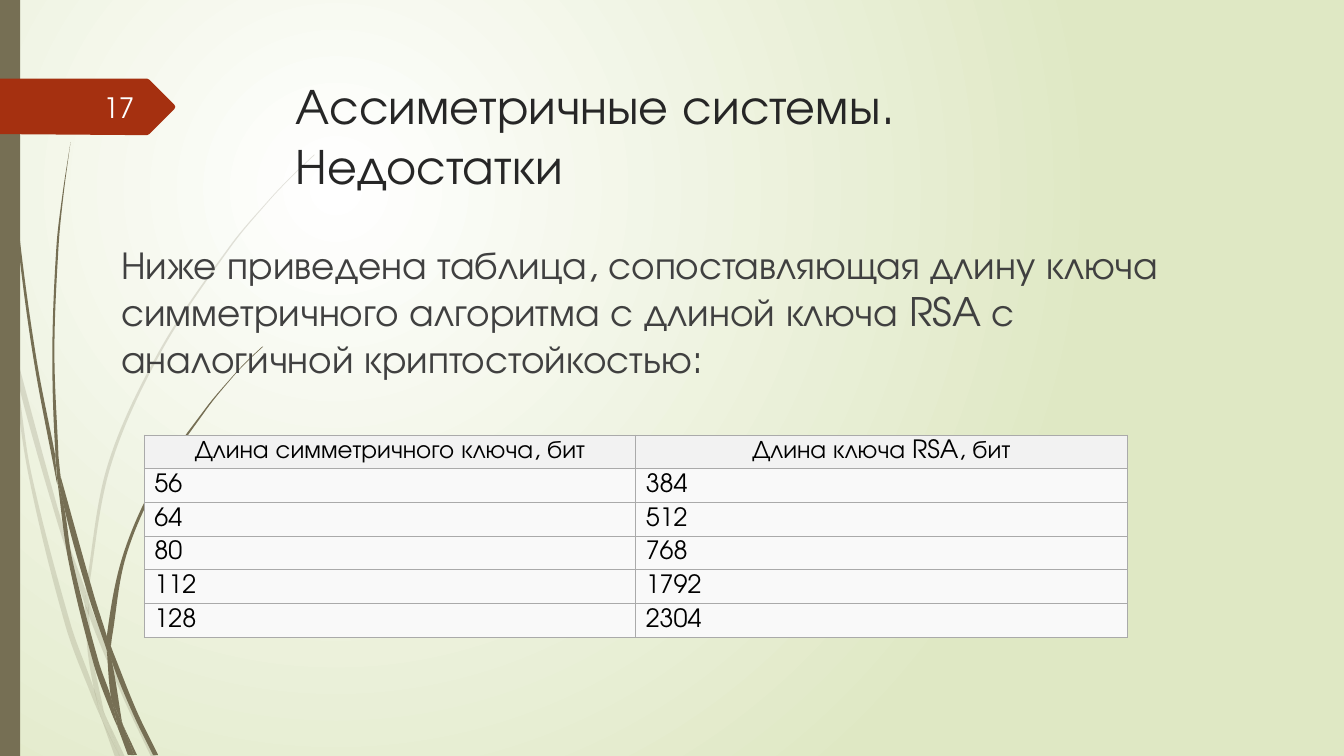
"""Builds a slide comparing symmetric and RSA key lengths."""
from copy import deepcopy
from math import dist

from lxml import etree
from pptx import Presentation
from pptx.dml.color import RGBColor
from pptx.enum.shapes import MSO_SHAPE
from pptx.enum.text import MSO_ANCHOR, PP_ALIGN
from pptx.oxml.ns import qn
from pptx.util import Pt

RECTANGLE = MSO_SHAPE.RECTANGLE
TOP, MIDDLE = MSO_ANCHOR.TOP, MSO_ANCHOR.MIDDLE
LEFT, CENTER, RIGHT = PP_ALIGN.LEFT, PP_ALIGN.CENTER, PP_ALIGN.RIGHT
FONT = "TeX Gyre Adventor"
COLOURS = {
    "white": "FFFFFF", "meadow": "DFE8C4", "stem": "766F54", "tag": "A53010",
    "title": "262626", "number": "FEFFFF", "body": "404040", "cell_text": "000000",
    "header": "F2F2F2", "row": "F9F9F9", "border": "AAAAAA",
}
KEY_LENGTHS = [
    ("Длина симметричного ключа, бит", "Длина ключа RSA, бит"),
    ("56", "384"), ("64", "512"), ("80", "768"), ("112", "1792"), ("128", "2304"),
]
TAG = [(124.6, 77.8), (106.6, 95.8), (105.1, 96.5), (97.9, 96.5), (0, 95.8),
       (0, 56.2), (105.1, 56.2), (106.6, 56.9), (124.6, 74.9), (125.2, 76.4)]
PALE_BLADES = [
    ([(7.9, 252), (6.5, 231.8), (0, 203)], [(0, 215.3), (7.2, 247.7), (7.9, 252)]),
    ([(10.1, 248.4), (12.2, 270.7), (41.8, 375.8), (60.5, 431.3)],
     [(61.2, 421.9), (44.6, 374.4), (10.1, 248.4)]),
    ([(63.4, 429.1), (63.4, 439.2), (88.6, 499.7), (108, 540.7)],
     [(111.6, 540.7), (91.4, 498.2), (66.2, 437), (63.4, 429.1)]),
    ([(85.7, 540.7), (89.3, 540.7)], [(75.6, 511.9)]),
    ([(7.9, 252), (20.2, 338.4), (46.8, 447.1), (66.2, 499), (72.7, 514.1)],
     [(71.3, 509), (67, 491.8), (50.4, 445.7), (22.3, 337.7), (12.2, 270.7), (7.9, 252)]),
    ([(60.5, 431.3), (62.6, 465.1), (67, 491.8), (69.1, 498.2), (75.6, 511.9)],
     [(74.2, 508.3), (65.5, 465.1), (63.4, 437.8), (60.5, 431.3)]),
    ([(63.4, 429.1), (63.4, 420.5), (79.2, 332.6), (115.2, 251.3), (164.9, 176.4),
      (193, 142.6), (208.8, 126), (224.6, 110.9)],
     [(224.6, 110.2), (208.1, 126), (193, 141.8), (164.2, 175.7), (113.8, 250.6),
      (77, 331.9), (61.2, 420.5)]),
    ([(72.7, 514.1), (82.1, 540.7)], [(85.7, 540.7)]),
    ([(63.4, 439.2), (63.4, 429.1)], [(61.2, 421.9), (60.5, 431.3)]),
    ([(67, 491.8), (71.3, 509), (72.7, 514.1), (85.7, 540.7)],
     [(75.6, 511.9), (69.1, 498.2)]),
]
DARK_BLADES = [
    ([(2.2, 0), (2.9, 34.6), (5, 79.2), (12.2, 167.8), (23.8, 255.6), (40.3, 343.4),
      (41, 346.3)],
     [(39.6, 329), (39.6, 326.2), (25.9, 255.6), (13.7, 167), (5.8, 78.5),
      (3.6, 34.6), (2.9, 0)]),
    ([(43.2, 339.8), (46.1, 363.6), (63.4, 426.2), (76.3, 464.4)],
     [(76.3, 455.8), (76.3, 454.3), (67, 424.8), (43.2, 339.8)]),
    ([(79.2, 461.5), (79.9, 472.3), (95, 509.8), (109.4, 539.3)],
     [(113, 539.3), (97.9, 508.3), (81.4, 467.3), (79.2, 461.5)]),
    ([(41, 343.4), (49, 401), (67, 474.5), (79.9, 509.8), (84.2, 519.8)],
     [(83.5, 516.2), (79.2, 497.5), (70.6, 473), (51.8, 400.3), (46.1, 363.6),
      (41, 343.4)]),
    ([(50.4, 101.5), (44.6, 139), (40.3, 176.4), (37.4, 251.3), (39.6, 323.3),
      (43.2, 339.8)],
     [(41.8, 326.2), (38.9, 251.3), (41.8, 176.4), (45.4, 139), (50.4, 101.5)]),
    ([(95.8, 539.3), (97.9, 539.3)], [(87.8, 517.7)]),
    ([(41, 343.4), (46.1, 363.6)], [(43.2, 339.8), (39.6, 323.3), (39.6, 326.2)]),
    ([(79.9, 455.8), (90, 397.4), (113.8, 342.7), (147.6, 292.3), (166.3, 269.3),
      (176.4, 258.5), (187.9, 247.7)],
     [(187.2, 247.7), (176.4, 257.8), (166.3, 268.6), (146.9, 291.6), (112.3, 341.3),
      (87.8, 396.7), (76.3, 454.3), (79.2, 461.5)]),
    ([(84.2, 519.8), (91.4, 539.3)], [(94.3, 539.3)]),
    ([(76.3, 464.4), (79.2, 497.5), (83.5, 508.3), (87.8, 517.7)],
     [(87.1, 515.5), (79.9, 472.3), (76.3, 464.4)]),
    ([(76.3, 464.4), (79.9, 472.3)], [(79.2, 461.5), (76.3, 454.3)]),
    ([(79.2, 497.5), (83.5, 516.2), (84.2, 519.8), (93.6, 539.3)],
     [(95.8, 539.3), (87.8, 517.7), (83.5, 508.3)]),
]


def colour(name):
    return RGBColor.from_string(COLOURS[name])


def paint(shape, name, opacity=100):
    shape.shadow.inherit = False
    shape.fill.solid()
    shape.fill.fore_color.rgb = colour(name)
    shape.line.fill.background()
    if opacity < 100:
        tint = shape.element.spPr.find(qn("a:solidFill"))[0]
        etree.SubElement(tint, qn("a:alpha"), val=str(opacity * 1000))


def find_handles(knots):
    if len(knots) < 3:
        return [None] * (len(knots) - 1)
    tangents = []
    for index in range(len(knots)):
        near = knots[max(index - 1, 0):index + 2]
        length = sum(dist(a, b) for a, b in zip(near, near[1:]))
        tangents.append([(b - a) / length for a, b in zip(near[0], near[-1])])
    handles = []
    for index, (start, end) in enumerate(zip(knots, knots[1:])):
        third = dist(start, end) / 3
        handles.append(([a + m * third for a, m in zip(start, tangents[index])],
                        [b - m * third for b, m in zip(end, tangents[index + 1])]))
    return handles


def add_outline(page, points, name, opacity=100, handles=()):
    corners = [(Pt(x), Pt(y)) for x, y in points]
    builder = page.shapes.build_freeform(*corners[0])
    builder.add_line_segments(corners[1:], close=True)
    shape = builder.convert_to_shape()
    paint(shape, name, opacity)
    for segment, pair in zip(list(shape.element.iter(qn("a:lnTo"))), handles):
        if pair:
            curve = etree.Element(qn("a:cubicBezTo"))
            for x, y in pair:
                etree.SubElement(curve, qn("a:pt"), x=str(Pt(x) - builder.shape_offset_x),
                                 y=str(Pt(y) - builder.shape_offset_y))
            curve.append(deepcopy(segment[0]))
            segment.getparent().replace(segment, curve)


def add_background(page):
    fill = page.background.fill
    fill.gradient()
    for stop, name in zip(fill.gradient_stops, ("white", "meadow")):
        stop.color.rgb = colour(name)
    gradient = next(page.element.iter(qn("a:gradFill")))
    gradient.remove(gradient.find(qn("a:lin")))
    circle = etree.SubElement(gradient, qn("a:path"), path="circle")
    etree.SubElement(circle, qn("a:fillToRect"), l="50000", t="50000", r="100000", b="100000")


def write(para, lines, size, name, align=LEFT):
    para.alignment = align
    for index, line in enumerate(lines):
        if index:
            para.add_line_break()
            para._p[-1].append(deepcopy(span._r.rPr))
        span = para.add_run()
        span.text = line
        span.font.size = Pt(size)
        span.font.name = FONT
        span.font.color.rgb = colour(name)


def add_text(page, frame, lines, size, name, align=LEFT, anchor=TOP, before=0):
    box = page.shapes.add_textbox(*map(Pt, frame)).text_frame
    box.word_wrap = True
    box.vertical_anchor = anchor
    para = box.paragraphs[0]
    para.space_before = Pt(before)
    write(para, lines, size, name, align)


def add_borders(cell):
    properties = cell._tc.get_or_add_tcPr()
    for index, side in enumerate(("lnL", "lnR", "lnT", "lnB")):
        line = etree.Element(qn(f"a:{side}"), w=str(Pt(0.75)))
        solid = etree.SubElement(line, qn("a:solidFill"))
        etree.SubElement(solid, qn("a:srgbClr"), val=COLOURS["border"])
        properties.insert(index, line)


def add_key_table(page, left, top, column_width, row_height):
    rows, columns = len(KEY_LENGTHS), len(KEY_LENGTHS[0])
    table = page.shapes.add_table(rows, columns, Pt(left), Pt(top), Pt(column_width * columns),
                                  Pt(row_height * rows)).table
    for column in table.columns:
        column.width = Pt(column_width)
    for row, values in enumerate(KEY_LENGTHS):
        table.rows[row].height = Pt(row_height)
        for column, value in enumerate(values):
            cell = table.cell(row, column)
            cell.margin_top = cell.margin_bottom = Pt(0)
            cell.vertical_anchor = MIDDLE
            cell.fill.solid()
            cell.fill.fore_color.rgb = colour("row" if row else "header")
            write(cell.text_frame.paragraphs[0], [value], 18, "cell_text",
                  LEFT if row else CENTER)
            add_borders(cell)


def main():
    deck = Presentation()
    deck.slide_width, deck.slide_height = Pt(960), Pt(540)
    page = deck.slides.add_slide(deck.slide_layouts[6])
    add_background(page)
    for blades, opacity in ((PALE_BLADES, 20), (DARK_BLADES, 100)):
        for there, back in blades:
            handles = find_handles(there) + [None] + find_handles(back)
            add_outline(page, there + back, "stem", opacity, handles)
    paint(page.shapes.add_shape(RECTANGLE, Pt(0), Pt(0), Pt(14.4), Pt(540)), "stem")
    add_outline(page, TAG, "tag")
    add_text(page, (204.1, 49.2, 702, 100.8), ["Ассиметричные системы.", "Недостатки"], 36, "title")
    add_text(page, (41.8, 62, 61.2, 28.8), ["17"], 20, "number", RIGHT, MIDDLE)
    add_text(page, (79.5, 167.8, 764, 355.7),
             ["Ниже приведена таблица, сопоставляющая длину ключа симметричного алгоритма "
              "с длиной ключа RSA с аналогичной криптостойкостью:"], 28, "body", before=10)
    add_key_table(page, 103.1, 310.8, 351, 24.05)
    deck.save("out.pptx")


if __name__ == "__main__":
    main()
